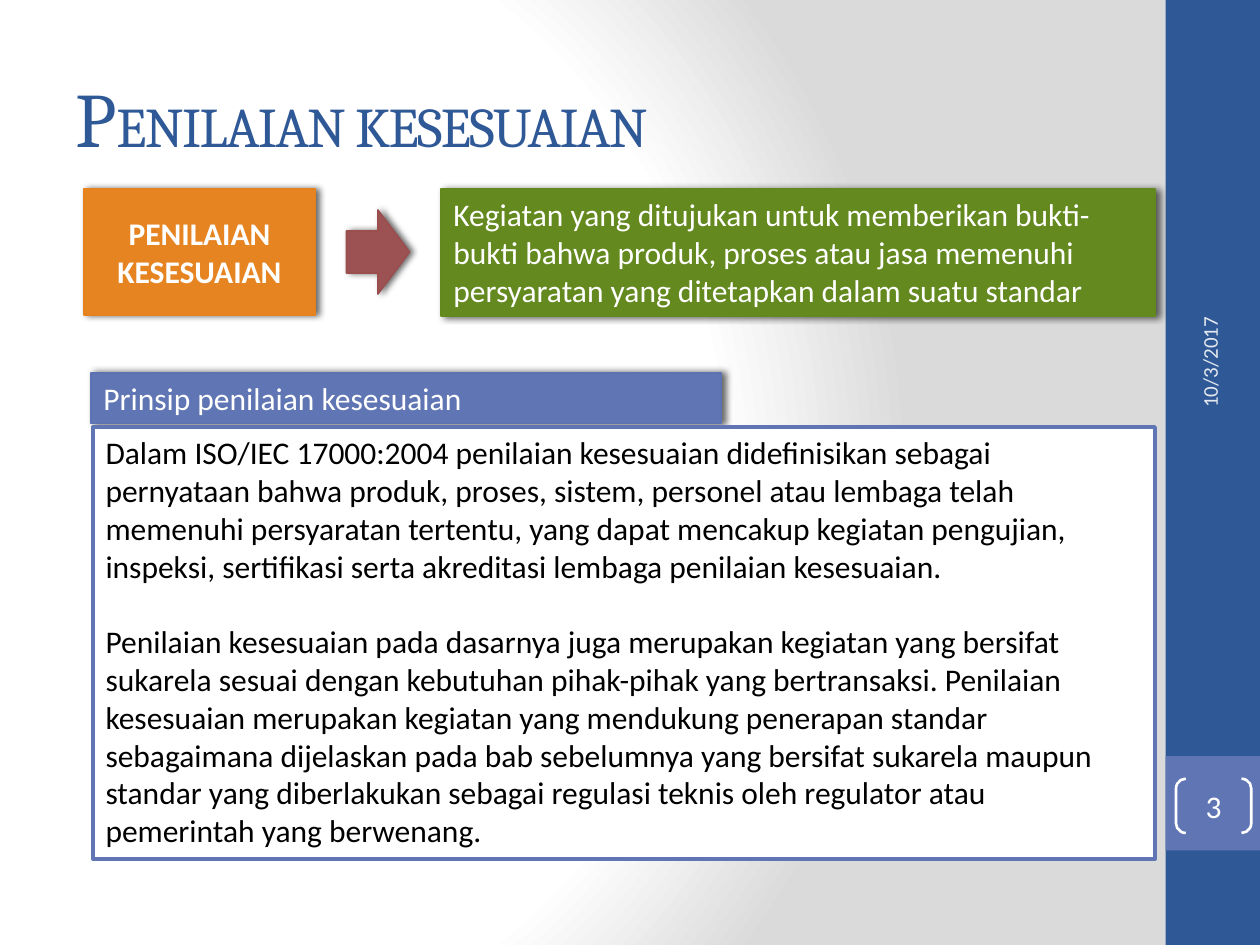
from lxml import etree
from pptx import Presentation
from pptx.dml.color import RGBColor
from pptx.enum.shapes import MSO_SHAPE
from pptx.enum.text import MSO_ANCHOR, PP_ALIGN
from pptx.oxml import parse_xml
from pptx.oxml.ns import nsdecls, qn
from pptx.util import Pt

RECT, ARROW, BRACKETS = MSO_SHAPE.RECTANGLE, MSO_SHAPE.RIGHT_ARROW, MSO_SHAPE.DOUBLE_BRACKET
TOP, MIDDLE = MSO_ANCHOR.TOP, MSO_ANCHOR.MIDDLE
LEFT, CENTER = PP_ALIGN.LEFT, PP_ALIGN.CENTER

WIDTH, HEIGHT = 720, 540
COLORS = {
    "white": "FFFFFF", "black": "000000", "backdrop": "DADADA",
    "navy": "2F5897", "blue": "6076B4", "blue_edge": "5C72B2",
    "orange": "E68422", "orange_edge": "E6811C",
    "green": "63891F", "green_edge": "62891C",
    "red": "9C5252", "red_edge": "9A4E4E", "date": "E4E9EF",
}

DEFINITION = ("Kegiatan yang ditujukan untuk memberikan bukti-bukti bahwa produk, proses atau jasa "
              "memenuhi persyaratan yang ditetapkan dalam suatu standar")
PRINCIPLES = [
    "Dalam ISO/IEC 17000:2004 penilaian kesesuaian didefinisikan sebagai pernyataan bahwa produk, "
    "proses, sistem, personel atau lembaga telah memenuhi persyaratan tertentu, yang dapat mencakup "
    "kegiatan pengujian, inspeksi, sertifikasi serta akreditasi lembaga penilaian kesesuaian.",
    "Penilaian kesesuaian pada dasarnya juga merupakan kegiatan yang bersifat\v"
    "sukarela sesuai dengan kebutuhan pihak-pihak yang bertransaksi. Penilaian\v"
    "kesesuaian merupakan kegiatan yang mendukung penerapan standar\v"
    "sebagaimana dijelaskan pada bab sebelumnya yang bersifat sukarela maupun standar yang "
    "diberlakukan sebagai regulasi teknis oleh regulator atau pemerintah yang berwenang.",
]


def rgb(name):
    return RGBColor.from_string(COLORS[name])


def style_run(run, size, color, font="Calibri", bold=False):
    run.font.size, run.font.name, run.font.bold = Pt(size), font, bold
    run.font.color.rgb = rgb(color)


def write(shape, paragraphs, size=18, color="white", align=LEFT, anchor=TOP, bold=False, gap=0):
    frame = shape.text_frame
    frame.word_wrap = True
    frame.vertical_anchor = anchor
    for i, text in enumerate(paragraphs):
        paragraph = frame.add_paragraph() if i else frame.paragraphs[0]
        paragraph.text = text
        paragraph.alignment = align
        paragraph.space_before = Pt(gap if i else 0)
        for run in paragraph.runs:
            style_run(run, size, color, bold=bold)


def add_shadow(shape):
    shape._element.spPr.append(parse_xml(
        f'<a:effectLst {nsdecls("a")}><a:outerShdw blurRad="{Pt(4)}" dist="{Pt(2)}" dir="0" '
        f'rotWithShape="0"><a:srgbClr val="{COLORS["black"]}"><a:alpha val="60000"/></a:srgbClr>'
        '</a:outerShdw></a:effectLst>'))


def add_box(slide, box, fill=None, edge=None, kind=RECT, weight=1, shadow=False):
    shape = slide.shapes.add_shape(kind, *map(Pt, box))
    if fill:
        shape.fill.solid()
        shape.fill.fore_color.rgb = rgb(fill)
    else:
        shape.fill.background()
    if edge:
        shape.line.color.rgb = rgb(edge)
        shape.line.width = Pt(weight)
    else:
        shape.line.fill.background()
    if shadow:
        add_shadow(shape)
    else:
        shape.shadow.inherit = False
    return shape


def set_background(slide):
    bg = parse_xml(f'<p:bg {nsdecls("p", "a")}><p:bgPr><a:gradFill rotWithShape="1"><a:gsLst/>'
                   '<a:path path="circle"><a:fillToRect l="20000" t="50000" r="100000" b="50000"/>'
                   '</a:path></a:gradFill><a:effectLst/></p:bgPr></p:bg>')
    stops = bg.find(".//" + qn("a:gsLst"))
    for percent, color in ((0, "white"), (75, "white"), (100, "backdrop")):
        stop = etree.SubElement(stops, qn("a:gs"), pos=str(percent * 1000))
        etree.SubElement(stop, qn("a:srgbClr"), val=COLORS[color])
    slide.element.find(qn("p:cSld")).insert(0, bg)


def add_sidebar(slide, left, top, width, height):
    add_box(slide, (left, top, width, height), "navy")
    add_box(slide, (left, top + 432, width, width), "blue")

    # Date, reading upwards
    date_w, date_h = 192, 28.8
    center_x, center_y = left + 25.2, top + 144
    date = slide.shapes.add_textbox(Pt(center_x - date_w / 2), Pt(center_y - date_h / 2),
                                    Pt(date_w), Pt(date_h))
    date.rotation = 270
    write(date, ["10/3/2017"], size=12, color="date", anchor=MIDDLE)

    # Page number in brackets
    number = add_box(slide, (left + 6, top + 445, 43, 31), edge="white", kind=BRACKETS, weight=1.5)
    number.adjustments[0] = 0.18
    frame = number.text_frame
    frame.margin_left = frame.margin_right = frame.margin_top = frame.margin_bottom = 0
    write(number, ["3"], align=CENTER, anchor=MIDDLE)


def add_title(slide, left, top, width, height):
    title = slide.shapes.add_textbox(*map(Pt, (left, top, width, height)))
    title.text_frame.word_wrap = True
    title.text_frame.vertical_anchor = MIDDLE
    for text, size in (("P", 44), ("ENILAIAN KESESUAIAN", 32)):
        run = title.text_frame.paragraphs[0].add_run()
        run.text = text
        style_run(run, size, "navy", font="Cambria")
        run.font._element.set("spc", "-100")


def add_definition(slide, left, top, width, height):
    term = add_box(slide, (left, top, 132, height), "orange", "orange_edge", shadow=True)
    write(term, ["PENILAIAN KESESUAIAN"], align=CENTER, anchor=MIDDLE, bold=True)

    meaning = add_box(slide, (left + 204, top, width - 204, height + 0.7),
                      "green", "green_edge", shadow=True)
    write(meaning, [DEFINITION])

    add_box(slide, (left + 150, top + 12, 36, 48), "red", "red_edge", kind=ARROW, shadow=True)


def add_principles(slide, left, top, width, height):
    heading = add_box(slide, (left, top, 360, 29), "blue", "blue_edge", shadow=True)
    write(heading, ["Prinsip penilaian kesesuaian"])

    body = add_box(slide, (left + 1.2, top + 31, width - 1.2, height - 31),
                   "white", "blue", weight=2)
    write(body, PRINCIPLES, color="black", gap=21.6)


def main():
    prs = Presentation()
    prs.slide_width, prs.slide_height = Pt(WIDTH), Pt(HEIGHT)
    slide = prs.slides.add_slide(prs.slide_layouts[6])
    set_background(slide)
    add_sidebar(slide, 666, 0, 54, HEIGHT)
    add_title(slide, 36, 21.6, 600, 90)
    add_definition(slide, 48, 108, 612, 72)
    add_principles(slide, 52, 213, 608, 278)
    prs.save("out.pptx")


if __name__ == "__main__":
    main()
